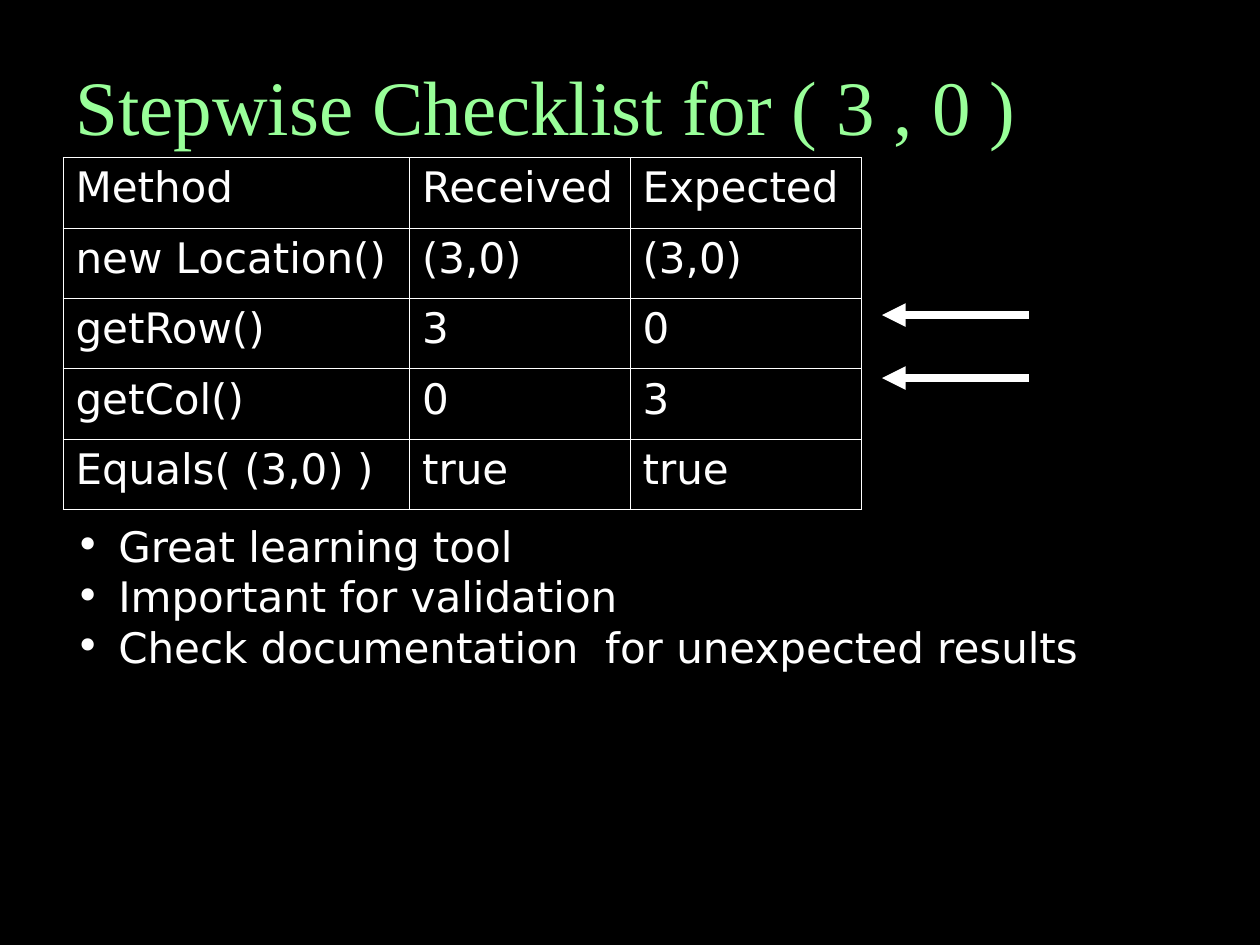
import pptx
import pptx.dml.color
import pptx.enum.shapes
import pptx.enum.text
import pptx.oxml
import pptx.oxml.ns
import pptx.util

Pt = pptx.util.Pt
WHITE, GREEN, BLACK = "FFFFFF", "99FF99", "000000"
SANS, SERIF = "DejaVu Sans", "Times New Roman"

CHECKLIST = [
    ("Method", "Received", "Expected"),
    ("new Location()", "(3,0)", "(3,0)"),
    ("getRow()", "3", "0"),
    ("getCol()", "0", "3"),
    ("Equals( (3,0) )", "true", "true"),
]
COL_WIDTHS = (198, 126, 132)
ROW_HEIGHT = 40.25
POINTS = [
    "Great learning tool",
    "Important for validation",
    "Check documentation  for unexpected results",
]


def color(value):
    return pptx.dml.color.RGBColor.from_string(value)


def xml(tag, attrs="", inner=""):
    ns = pptx.oxml.ns.nsdecls("a")
    return pptx.oxml.parse_xml(f"<a:{tag} {ns} {attrs}>{inner}</a:{tag}>")


def add_run(p, text, size=24, font=SANS, fill=WHITE):
    r = p.add_run()
    r.text = text
    r.font.size = Pt(size)
    r.font.name = font
    r.font.color.rgb = color(fill)


def add_text_frame(s, left, top, width, height):
    tf = s.shapes.add_textbox(Pt(left), Pt(top), Pt(width), Pt(height)).text_frame
    tf.word_wrap = True
    return tf


def add_title(s, text):
    tf = add_text_frame(s, 36, 0, 648, 90)
    tf.vertical_anchor = pptx.enum.text.MSO_ANCHOR.BOTTOM
    add_run(tf.paragraphs[0], text, 44, SERIF, GREEN)


def add_borders(cell):
    tcPr = cell._tc.get_or_add_tcPr()
    fill = f'<a:solidFill><a:srgbClr val="{WHITE}"/></a:solidFill>'
    for i, side in enumerate(("lnL", "lnR", "lnT", "lnB")):
        tcPr.insert(i, xml(side, f'w="{int(Pt(0.45))}"', fill))


def add_checklist(s):
    height = ROW_HEIGHT * len(CHECKLIST)
    table = s.shapes.add_table(len(CHECKLIST), len(COL_WIDTHS), Pt(36), Pt(90),
                               Pt(sum(COL_WIDTHS)), Pt(height)).table
    table.first_row = False
    table.horz_banding = False
    for col, width in zip(table.columns, COL_WIDTHS):
        col.width = Pt(width)
    for row, texts in zip(table.rows, CHECKLIST):
        row.height = Pt(ROW_HEIGHT)
        for cell, text in zip(row.cells, texts):
            cell.fill.background()
            add_borders(cell)
            add_run(cell.text_frame.paragraphs[0], text)


def add_arrow(s, y):
    line = s.shapes.add_connector(pptx.enum.shapes.MSO_CONNECTOR.STRAIGHT,
                                  Pt(588), Pt(y), Pt(504), Pt(y))
    line.line.color.rgb = color(WHITE)
    line.line.width = Pt(4.5)
    line.line._get_or_add_ln().append(xml("tailEnd", 'type="triangle"'))
    line._element.spPr.append(xml("effectLst"))


def add_bullets(s, texts):
    tf = add_text_frame(s, 36, 293.75, 666, 93.6)
    for i, text in enumerate(texts):
        p = tf.paragraphs[0] if i == 0 else tf.add_paragraph()
        p.line_spacing = Pt(28.8)
        pPr = p._p.get_or_add_pPr()
        indent = int(Pt(24.5))
        pPr.set("marL", str(indent))
        pPr.set("indent", str(-indent))
        pPr.append(xml("buClr", "", f'<a:srgbClr val="{WHITE}"/>'))
        pPr.append(xml("buFont", f'typeface="{SANS}"'))
        pPr.append(xml("buChar", 'char="•"'))
        add_run(p, text)


def main():
    prs = pptx.Presentation()
    prs.slide_width, prs.slide_height = Pt(720), Pt(540)
    s = prs.slides.add_slide(prs.slide_layouts[6])
    s.background.fill.solid()
    s.background.fill.fore_color.rgb = color(BLACK)
    add_title(s, "Stepwise Checklist for ( 3 , 0 )")
    add_checklist(s)
    for y in (180, 216):
        add_arrow(s, y)
    add_bullets(s, POINTS)
    prs.save("out.pptx")


if __name__ == "__main__":
    main()
